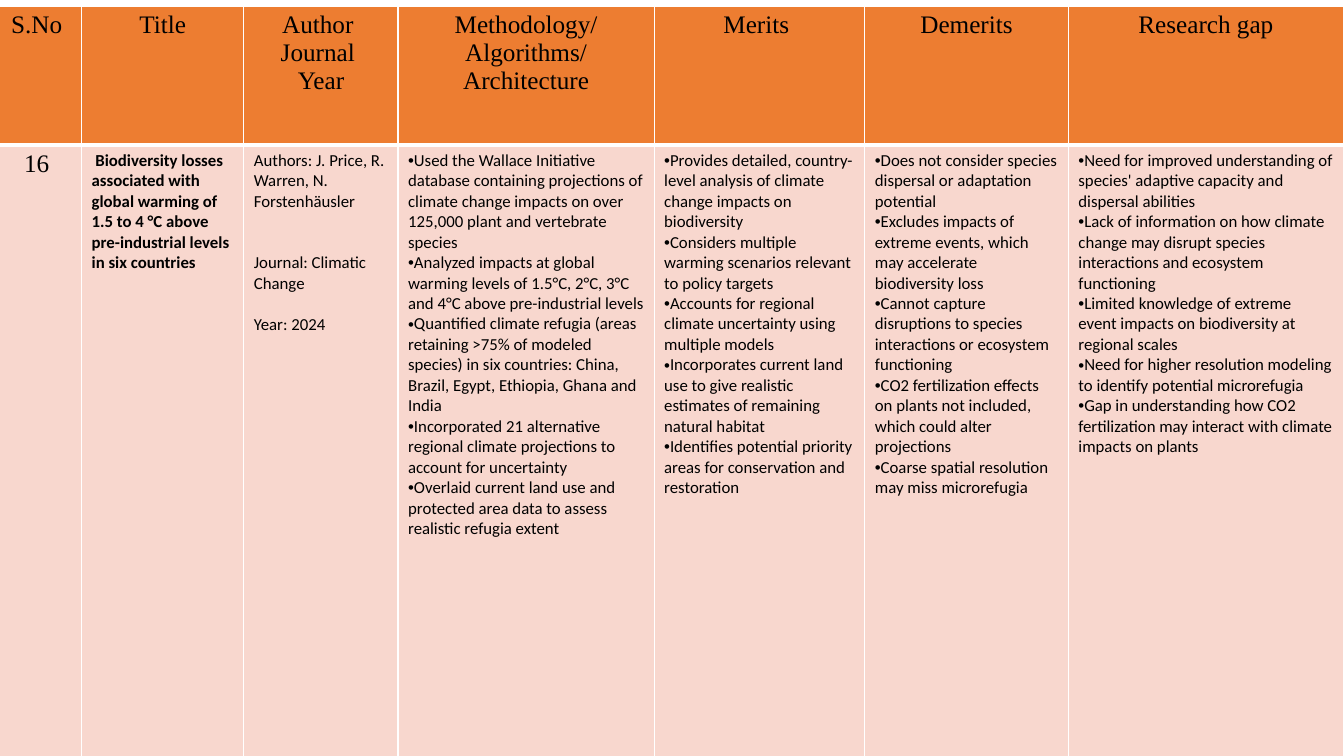
from lxml import etree
from pptx import Presentation
from pptx import util as u
from pptx.dml.color import RGBColor
from pptx.enum import text
from pptx.oxml import ns

ORANGE = RGBColor(0xED, 0x7D, 0x31)
PINK = RGBColor(0xF8, 0xD7, 0xCE)
BLACK = RGBColor(0, 0, 0)
WHITE = RGBColor(0xFF, 0xFF, 0xFF)

COLUMN_WIDTHS = [64.1, 115.9, 110.2, 182.9, 150.5, 145.4, 196.6]
ROW_HEIGHTS = [99.4, 445]
LINE_HEIGHT = 14.65

HEADERS = [
    ["S.No"],
    ["Title"],
    ["Author ", "Journal ", "Year"],
    ["Methodology/", "Algorithms/", "Architecture"],
    ["Merits "],
    ["Demerits"],
    ["Research gap"],
]
PAPER = [
    ["16"],
    [" Biodiversity losses associated with global warming of 1.5 to 4 °C above pre-industrial levels in six countries"],
    ["Authors: J. Price, R. Warren, N. Forstenhäusler", "Journal: Climatic Change", "Year: 2024"],
    [
        "Used the Wallace Initiative database containing projections of climate change impacts on over 125,000 plant and vertebrate species",
        "Analyzed impacts at global warming levels of 1.5°C, 2°C, 3°C and 4°C above pre-industrial levels",
        "Quantified climate refugia (areas retaining >75% of modeled species) in six countries: China, Brazil, Egypt, Ethiopia, Ghana and India",
        "Incorporated 21 alternative regional climate projections to account for uncertainty",
        "Overlaid current land use and protected area data to assess realistic refugia extent",
    ],
    [
        "Provides detailed, country-level analysis of climate change impacts on biodiversity",
        "Considers multiple warming scenarios relevant to policy targets",
        "Accounts for regional climate uncertainty using multiple models",
        "Incorporates current land use to give realistic estimates of remaining natural habitat",
        "Identifies potential priority areas for conservation and restoration",
    ],
    [
        "Does not consider species dispersal or adaptation potential",
        "Excludes impacts of extreme events, which may accelerate biodiversity loss",
        "Cannot capture disruptions to species interactions or ecosystem functioning",
        "CO2 fertilization effects on plants not included, which could alter projections",
        "Coarse spatial resolution may miss microrefugia",
    ],
    [
        "Need for improved understanding of species' adaptive capacity and dispersal abilities",
        "Lack of information on how climate change may disrupt species interactions and ecosystem functioning",
        "Limited knowledge of extreme event impacts on biodiversity at regional scales",
        "Need for higher resolution modeling to identify potential microrefugia",
        "Gap in understanding how CO2 fertilization may interact with climate impacts on plants",
    ],
]


def set_borders(cell, bottom_width):
    properties = cell._tc.get_or_add_tcPr()
    for index, side in enumerate(["lnL", "lnR", "lnT", "lnB"]):
        width = bottom_width if side == "lnB" else 1
        line = etree.Element(ns.qn(f"a:{side}"), w=str(u.Pt(width)))
        fill = etree.SubElement(line, ns.qn("a:solidFill"))
        etree.SubElement(fill, ns.qn("a:srgbClr"), val=str(WHITE))
        properties.insert(index, line)


def add_bullet(paragraph):
    properties = paragraph._p.get_or_add_pPr()
    properties.set("marL", "0")
    properties.set("indent", "0")
    etree.SubElement(properties, ns.qn("a:buFont"), typeface="Arial")
    etree.SubElement(properties, ns.qn("a:buChar"), char="•")


presentation = Presentation()
presentation.slide_width = u.Pt(960)
presentation.slide_height = u.Pt(540)
slide = presentation.slides.add_slide(presentation.slide_layouts[6])

table = slide.shapes.add_table(
    len(ROW_HEIGHTS), len(COLUMN_WIDTHS),
    u.Pt(-5.8), u.Pt(4.3), u.Pt(sum(COLUMN_WIDTHS)), u.Pt(sum(ROW_HEIGHTS)),
).table
for column, width in zip(table.columns, COLUMN_WIDTHS):
    column.width = u.Pt(width)
for row, height in zip(table.rows, ROW_HEIGHTS):
    row.height = u.Pt(height)

for row_index, contents in enumerate([HEADERS, PAPER]):
    is_header = row_index == 0
    for column_index, lines in enumerate(contents):
        cell = table.cell(row_index, column_index)
        cell.fill.solid()
        cell.fill.fore_color.rgb = ORANGE if is_header else PINK
        set_borders(cell, 3 if is_header else 1)
        cell.text = "\n".join(lines)
        is_large = is_header or column_index == 0
        for paragraph in cell.text_frame.paragraphs:
            paragraph.alignment = text.PP_ALIGN.CENTER if is_large else text.PP_ALIGN.LEFT
            if not is_header and column_index >= 3:
                add_bullet(paragraph)
            paragraph.font.name = "Times New Roman" if is_large else "Calibri"
            paragraph.font.size = u.Pt(18 if is_large else 12)
            paragraph.font.bold = not is_header and column_index == 1
            paragraph.font.color.rgb = BLACK

journal, year = table.cell(1, 2).text_frame.paragraphs[1:]
journal.space_before = u.Pt(2 * LINE_HEIGHT)
year.space_before = u.Pt(LINE_HEIGHT)

presentation.save("out.pptx")
